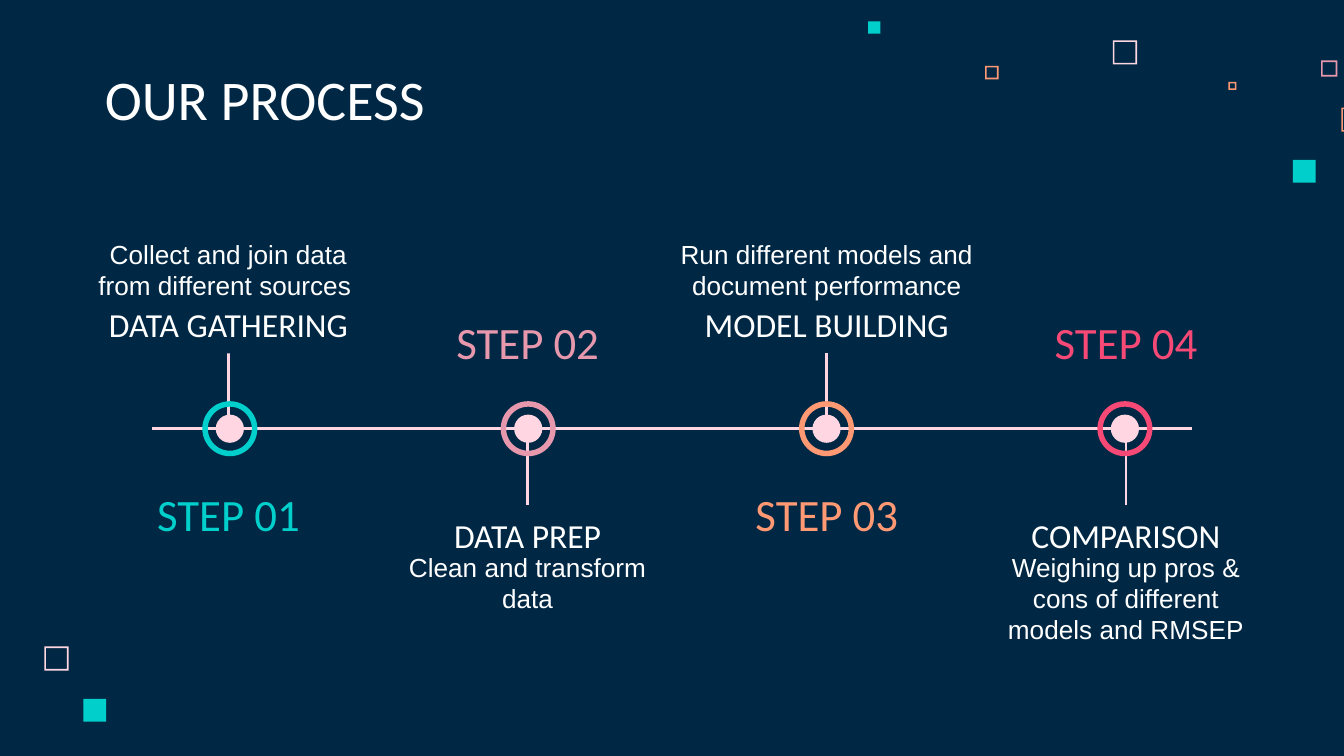
import pptx
import pptx.util
import pptx.dml.color
import pptx.enum.shapes
import pptx.enum.text
import pptx.oxml.ns
import lxml.etree

W = 10
H = W * 9 / 16
AXIS_Y, COL_X, COL_STEP = 3.19, 1.7, 2.226
MARKER_X, MARKER_STEP = 1.71, 2.22
COLORS = {"navy": "002845", "white": "FFFFFF", "blush": "FFD6E1", "teal": "00CFCC",
          "rose": "E898AC", "orange": "FF9973", "red": "F64975"}
SHAPES = pptx.enum.shapes.MSO_SHAPE
ANCHOR = pptx.enum.text.MSO_ANCHOR
ALIGN = pptx.enum.text.PP_ALIGN

TITLE = {"size": 30, "name": "Calibri"}
HEADING = {"size": 18, "name": "Calibri"}
STEP = {"size": 24, "name": "Calibri"}
BODY = {"size": 14, "name": "Arial"}

STEPS = [
    ("DATA GATHERING", "Collect and join data from different sources ", 2.31, 0.71, "teal"),
    ("DATA PREP", "Clean and transform data", 2.31, 0.71, "rose"),
    ("MODEL BUILDING", "Run different models and document performance", 2.54, 0.71, "orange"),
    ("COMPARISON", "Weighing up pros & cons of different models and RMSEP", 2.06, 0.89, "red"),
]
SQUARES = [
    (8.28, 0.3, 0.18, "blush", True), (9.83, 0.45, 0.12, "rose", True),
    (9.14, 0.61, 0.06, "orange", True), (9.98, 0.8, 0.18, "orange", True),
    (9.62, 1.19, 0.17, "teal", False), (7.33, 0.49, 0.1, "orange", True),
    (6.46, 0.16, 0.09, "teal", False), (0.33, 4.81, 0.18, "blush", True),
    (0.62, 5.2, 0.17, "teal", False),
]


def inches(*values):
    return [pptx.util.Inches(v) for v in values]


def rgb(name):
    return pptx.dml.color.RGBColor.from_string(COLORS[name])


def format_text(sp, text, font, color="white", anchor=ANCHOR.TOP, align=ALIGN.CENTER):
    tf = sp.text_frame
    margin = pptx.util.Inches(0.1)
    frame = {"word_wrap": True, "auto_size": pptx.enum.text.MSO_AUTO_SIZE.NONE,
             "vertical_anchor": anchor, "margin_left": margin, "margin_right": margin,
             "margin_top": margin, "margin_bottom": margin}
    for key, value in frame.items():
        setattr(tf, key, value)
    p = tf.paragraphs[0]
    p.alignment = align
    r = p.add_run()
    r.text = text
    for key, value in {**font, "size": pptx.util.Pt(font["size"])}.items():
        setattr(r.font, key, value)
    r.font.color.rgb = rgb(color)


def add_text(s, center, top, width, height, text, font, **options):
    sp = s.shapes.add_textbox(*inches(center - width / 2, top, width, height))
    format_text(sp, text, font, **options)
    return sp


def add_solid(s, kind, left, top, size, color, adjust=None):
    sp = s.shapes.add_shape(kind, *inches(left, top, size, size))
    sp.shadow.inherit = False
    sp.fill.solid()
    sp.fill.fore_color.rgb = rgb(color)
    sp.line.fill.background()
    if adjust is not None:
        sp.adjustments[0] = adjust


def add_line(s, x1, y1, x2, y2):
    line = s.shapes.add_connector(pptx.enum.shapes.MSO_CONNECTOR.STRAIGHT, *inches(x1, y1, x2, y2))
    line.line.color.rgb = rgb("blush")
    line.line.width = pptx.util.Pt(1.5)
    lxml.etree.SubElement(line._element.spPr, pptx.oxml.ns.qn("a:effectLst"))
    return line


def add_square(s, left, top, size, color, hollow):
    if hollow:
        add_solid(s, SHAPES.FRAME, left, top, size, color, 0.012 / size)
    else:
        add_solid(s, SHAPES.RECTANGLE, left, top, size, color)


def add_step(s, i, heading, body, body_width, body_height, color):
    x = COL_X + i * COL_STEP
    above = i % 2 == 0
    near, far = (ANCHOR.TOP, ANCHOR.BOTTOM) if above else (ANCHOR.BOTTOM, ANCHOR.TOP)
    head_top, body_top, label_top = (2.16, 1.63, 3.59) if above else (3.76, 4, 2.31)
    head_edge, stem_end = (2.63, 3.13) if above else (3.76, 3.26)
    sp = add_text(s, x, head_top, 2.06, 0.47, heading, HEADING, anchor=near)
    add_text(s, x, body_top, body_width, body_height, body, BODY, anchor=far)
    add_text(s, x, label_top, 1.41, 0.47, f"STEP {i + 1:02}", STEP, color=color, anchor=ANCHOR.MIDDLE)
    stem = add_line(s, x, head_edge, x, stem_end)
    stem.begin_connect(sp, 2 if above else 0)


def add_marker(s, i, color):
    x = MARKER_X + i * MARKER_STEP
    for kind, size, fill, adjust in ((SHAPES.OVAL, 0.21, "blush", None), (SHAPES.DONUT, 0.41, color, 0.1)):
        add_solid(s, kind, x - size / 2, AXIS_Y - size / 2, size, fill, adjust)


def main():
    prs = pptx.Presentation()
    prs.slide_width, prs.slide_height = inches(W, H)
    s = prs.slides.add_slide(prs.slide_layouts[5])
    s.background.fill.solid()
    s.background.fill.fore_color.rgb = rgb("navy")

    title = s.shapes.title
    for key, value in zip(("left", "top", "width", "height"), inches(0.68, 0.45, 5.17, 0.63)):
        setattr(title, key, value)
    format_text(title, "OUR PROCESS", TITLE, anchor=ANCHOR.BOTTOM, align=ALIGN.LEFT)

    for square in SQUARES:
        add_square(s, *square)
    for i, step in enumerate(STEPS):
        add_step(s, i, *step)
    add_line(s, 1.13, AXIS_Y, W - 1.13, AXIS_Y)
    for i, step in enumerate(STEPS):
        add_marker(s, i, step[-1])
    prs.save("out.pptx")


if __name__ == "__main__":
    main()
